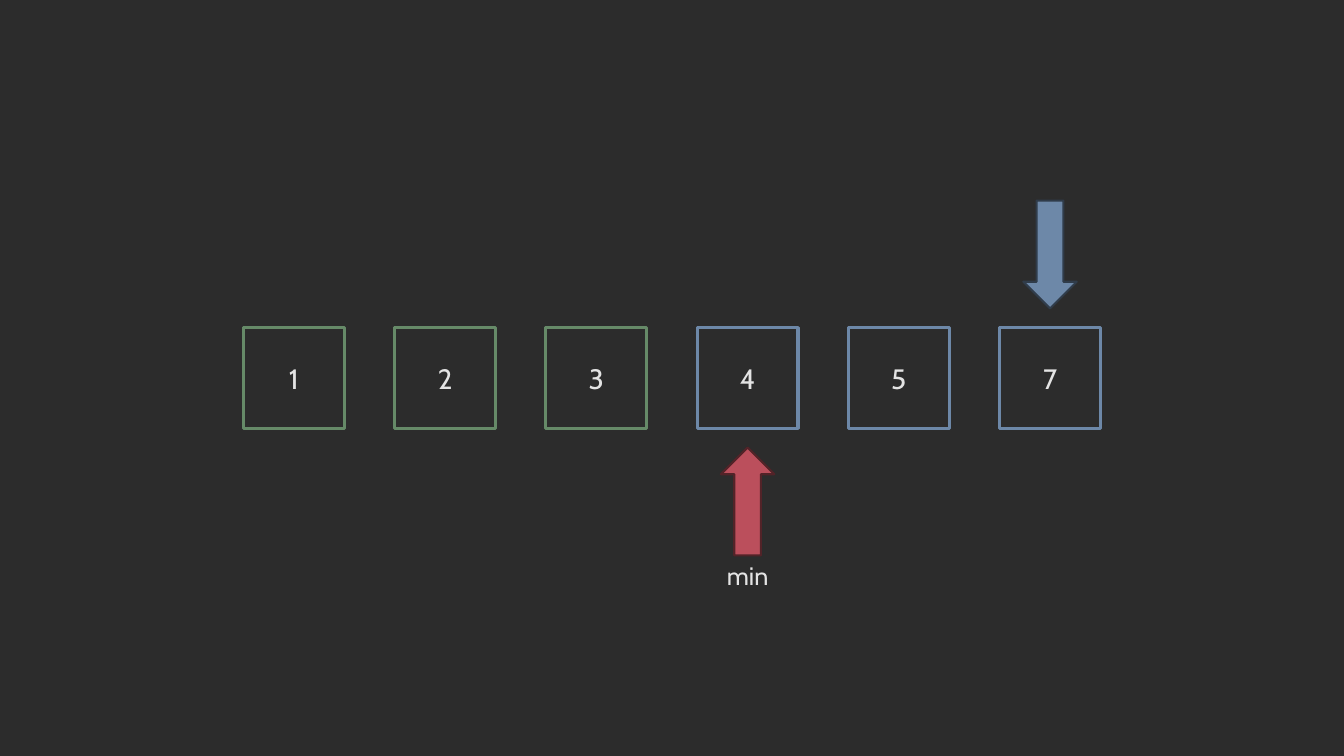
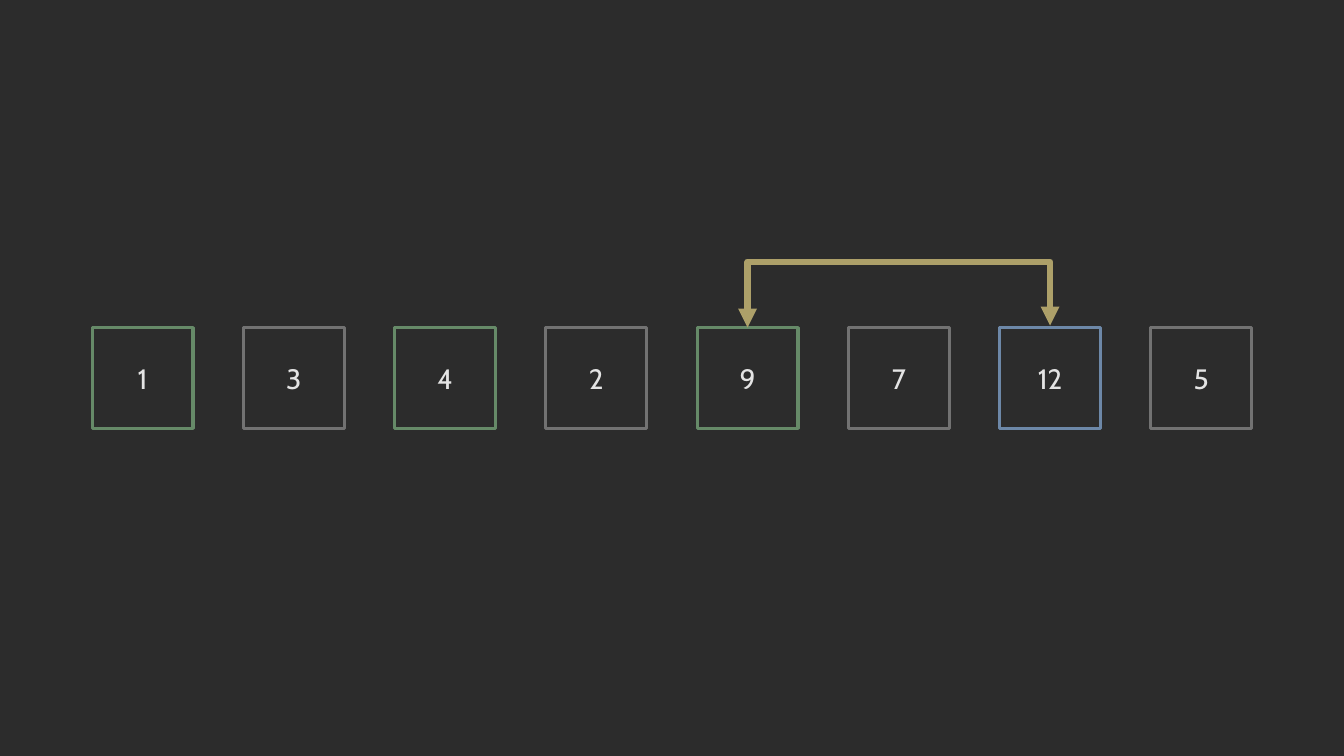
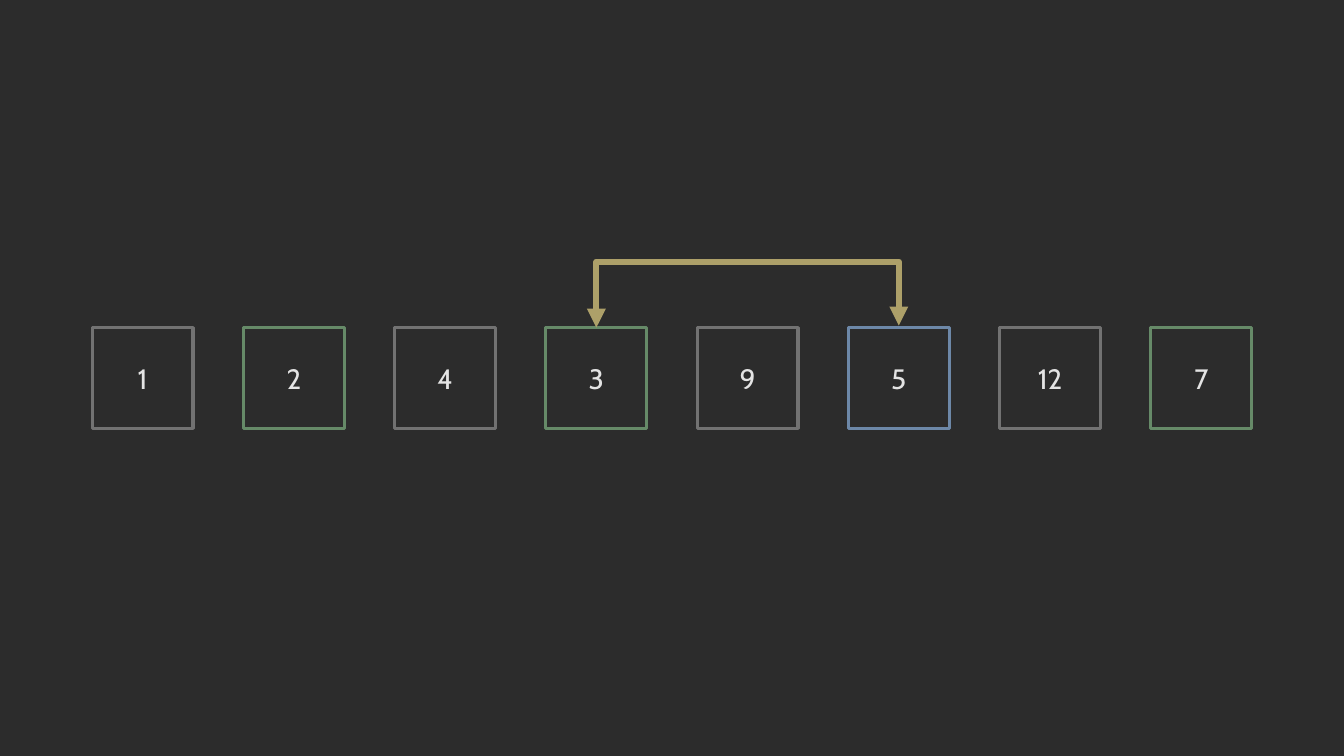
from dataclasses import dataclass
from typing import Optional

import lxml.etree
import pptx
import pptx.dml.color
import pptx.enum.shapes
import pptx.enum.text
import pptx.oxml
import pptx.oxml.ns
import pptx.presentation
import pptx.shapes.autoshape
import pptx.slide
import pptx.text.text
import pptx.util

Inches = pptx.util.Inches
Pt = pptx.util.Pt
SHAPES = pptx.enum.shapes.MSO_SHAPE

# Shared look
COLORS = {
    "background": "2C2C2C", "text": "E4E4E4",
    "green": "668A68", "blue": "6D88A8", "gray": "727272",
    "red": "BB4F5C", "gold": "ADA069",
    "blue_edge": "303C4A", "red_edge": "522328",
}
CELL_FONT = {"name": "Cabin", "size": Pt(20)}
LABEL_FONT = {"name": "Cabin", "size": Pt(18)}

# Shared geometry, in inches
SLIDE_WIDTH, SLIDE_HEIGHT = 13.33, 7.5
CELL_SIZE, CELL_GAP = 1.0, 0.5
CELL_TOP = (SLIDE_HEIGHT - CELL_SIZE) / 2
ARROW_WIDTH, ARROW_HEIGHT, ARROW_GAP = 0.53, 1.07, 0.19
LABEL_WIDTH, LABEL_HEIGHT = 0.62, 0.4
SWAP_RISE, SWAP_DROP = 0.65, 0.02


@dataclass(frozen=True)
class Cell:
    value: int
    color: str


@dataclass(frozen=True)
class Pointer:
    index: int
    color: str
    above: bool
    label: Optional[str] = None


@dataclass(frozen=True)
class Swap:
    first: int
    second: int


@dataclass(frozen=True)
class Step:
    cells: tuple[Cell, ...]
    pointers: tuple[Pointer, ...] = ()
    swap: Optional[Swap] = None


def make_cells(values: tuple[int, ...], colors: str) -> tuple[Cell, ...]:
    return tuple(Cell(*pair) for pair in zip(values, colors.split()))


STEPS = (
    Step(
        make_cells((1, 2, 3, 4, 5, 7), "green green green blue blue blue"),
        pointers=(Pointer(5, "blue", above=True),
                  Pointer(3, "red", above=False, label="min")),
    ),
    Step(
        make_cells((1, 3, 4, 2, 9, 7, 12, 5),
                   "green gray green gray green gray blue gray"),
        swap=Swap(4, 6),
    ),
    Step(
        make_cells((1, 2, 4, 3, 9, 5, 12, 7),
                   "gray green gray green gray blue gray green"),
        swap=Swap(3, 5),
    ),
)


def rgb(name: str) -> pptx.dml.color.RGBColor:
    return pptx.dml.color.RGBColor.from_string(COLORS[name])


def cell_center(index: int, count: int) -> float:
    """Horizontal centre of one cell in a row centred on the slide."""
    return SLIDE_WIDTH / 2 + (index - (count - 1) / 2) * (CELL_SIZE + CELL_GAP)


def write_text(frame: pptx.text.text.TextFrame, text: str, font_format: dict) -> None:
    frame.text = text
    paragraph = frame.paragraphs[0]
    paragraph.alignment = pptx.enum.text.PP_ALIGN.CENTER
    font = paragraph.runs[0].font
    for attribute, value in font_format.items():
        setattr(font, attribute, value)
    font.color.rgb = rgb("text")


def add_outlined(slide: pptx.slide.Slide, kind: SHAPES, center: float, top: float,
                 width: float, height: float, line: str, weight: float,
                 fill: Optional[str] = None) -> pptx.shapes.autoshape.Shape:
    shape = slide.shapes.add_shape(kind, Inches(center - width / 2), Inches(top),
                                   Inches(width), Inches(height))
    shape.shadow.inherit = False
    if fill:
        shape.fill.solid()
        shape.fill.fore_color.rgb = rgb(fill)
    else:
        shape.fill.background()
    shape.line.color.rgb = rgb(line)
    shape.line.width = Pt(weight)
    return shape


def add_cell(slide: pptx.slide.Slide, cell: Cell, center: float) -> None:
    shape = add_outlined(slide, SHAPES.RECTANGLE, center, CELL_TOP,
                         CELL_SIZE, CELL_SIZE, cell.color, 2.25)
    shape.text_frame.vertical_anchor = pptx.enum.text.MSO_ANCHOR.MIDDLE
    write_text(shape.text_frame, str(cell.value), CELL_FONT)


def add_pointer(slide: pptx.slide.Slide, pointer: Pointer, center: float) -> None:
    if pointer.above:
        kind, top = SHAPES.DOWN_ARROW, CELL_TOP - ARROW_GAP - ARROW_HEIGHT
    else:
        kind, top = SHAPES.UP_ARROW, CELL_TOP + CELL_SIZE + ARROW_GAP
    add_outlined(slide, kind, center, top, ARROW_WIDTH, ARROW_HEIGHT,
                 f"{pointer.color}_edge", 1.5, pointer.color)
    if pointer.label:
        label = slide.shapes.add_textbox(
            Inches(center - LABEL_WIDTH / 2), Inches(top + ARROW_HEIGHT),
            Inches(LABEL_WIDTH), Inches(LABEL_HEIGHT))
        label.text_frame.word_wrap = False
        label.text_frame.auto_size = pptx.enum.text.MSO_AUTO_SIZE.SHAPE_TO_FIT_TEXT
        write_text(label.text_frame, pointer.label, LABEL_FONT)


def add_swap(slide: pptx.slide.Slide, start: float, end: float) -> None:
    """Bracket with two arrowheads: a flipped elbow turned a quarter clockwise."""
    middle, level = (start + end) / 2, CELL_TOP - SWAP_DROP / 2
    half_span, half_drop = (end - start) / 2, SWAP_DROP / 2
    connector = slide.shapes.add_connector(
        pptx.enum.shapes.MSO_CONNECTOR.ELBOW,
        Inches(middle + half_drop), Inches(level + half_span),
        Inches(middle - half_drop), Inches(level - half_span))
    connector.line.color.rgb = rgb("gold")
    connector.line.width = Pt(4.5)

    # Rotation, bend height, arrowheads and no shadow
    qn = pptx.oxml.ns.qn
    properties = connector._element.spPr
    properties.find(qn("a:xfrm")).set("rot", "5400000")
    adjustments = properties.find(qn("a:prstGeom")).find(qn("a:avLst"))
    bend = round(SWAP_RISE / SWAP_DROP * 100000)
    lxml.etree.SubElement(adjustments, qn("a:gd"), name="adj1", fmla=f"val {bend}")
    outline = properties.find(qn("a:ln"))
    for tag in ("a:headEnd", "a:tailEnd"):
        lxml.etree.SubElement(outline, qn(tag), type="triangle")
    lxml.etree.SubElement(properties, qn("a:effectLst"))


def add_step(presentation: pptx.presentation.Presentation, step: Step) -> None:
    slide = presentation.slides.add_slide(presentation.slide_layouts[6])
    centers = [cell_center(index, len(step.cells)) for index in range(len(step.cells))]
    for pointer in step.pointers:
        add_pointer(slide, pointer, centers[pointer.index])
    for cell, center in zip(step.cells, centers):
        add_cell(slide, cell, center)
    if step.swap:
        add_swap(slide, centers[step.swap.first], centers[step.swap.second])


def main() -> None:
    presentation = pptx.Presentation()
    presentation.slide_width = Inches(SLIDE_WIDTH)
    presentation.slide_height = Inches(SLIDE_HEIGHT)
    background = presentation.slide_master.background.fill
    background.solid()
    background.fore_color.rgb = rgb("background")
    for step in STEPS:
        add_step(presentation, step)
    presentation.save("out.pptx")


if __name__ == "__main__":
    main()
